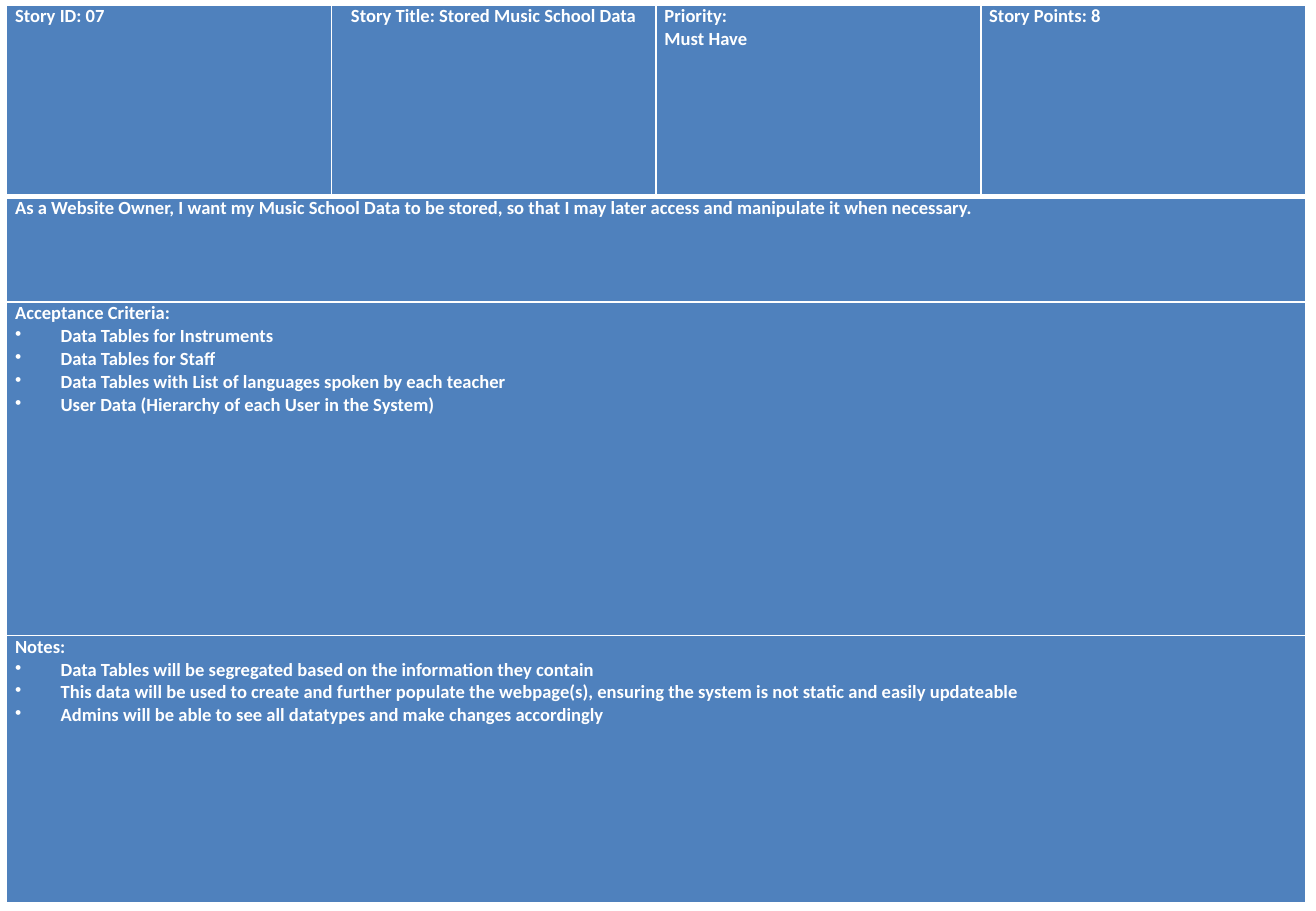
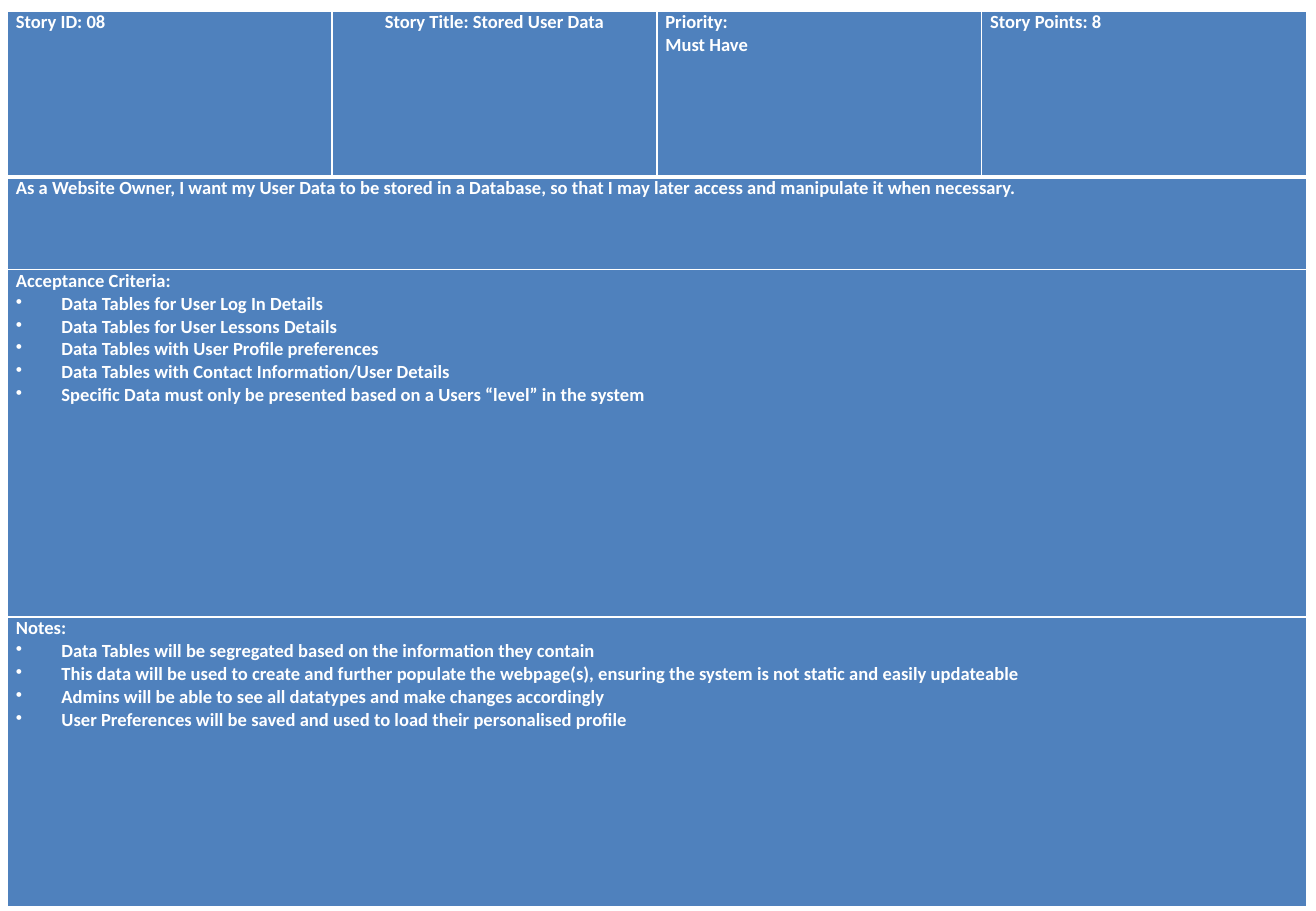
import pptx
import pptx.dml.color
import pptx.enum.text
import pptx.oxml
import pptx.oxml.ns
import pptx.util
from lxml import etree

Pt = pptx.util.Pt
CARD_BLUE = pptx.dml.color.RGBColor(0x4F, 0x81, 0xBD)
WHITE = pptx.dml.color.RGBColor(0xFF, 0xFF, 0xFF)
FONT, FONT_SIZE = "Calibri", 11
COLUMN_WIDTH = 192.5
SIDE_MARGIN = 5
BULLET_INDENT, BULLET_TAB = 27, 36
THIN, THICK = 1, 3

# Content: one story card per slide
SHARED_NOTES = [
    "Data Tables will be segregated based on the information they contain",
    "This data will be used to create and further populate the webpage(s), "
    "ensuring the system is not static and easily updateable",
    "Admins will be able to see all datatypes and make changes accordingly",
]
STORIES = [
    {
        "id": "07",
        "title": "Stored Music School Data",
        "priority": "Must Have",
        "points": 8,
        "story": "As a Website Owner, I want my Music School Data to be stored, "
                 "so that I may later access and manipulate it when necessary.",
        "criteria": [
            "Data Tables for Instruments",
            "Data Tables for Staff",
            "Data Tables with List of languages spoken by each teacher",
            "User Data (Hierarchy of each User in the System)",
        ],
        "notes": SHARED_NOTES,
        "corner": (3.9, 2.9),
        "row_heights": (113.7, 62.5, 197.5, 158.3),
    },
    {
        "id": "08",
        "title": "Stored User Data",
        "priority": "Must Have",
        "points": 8,
        "story": "As a Website Owner, I want my User Data to be stored in a Database, "
                 "so that I may later access and manipulate it when necessary.",
        "criteria": [
            "Data Tables for User Log In Details",
            "Data Tables for User Lessons Details",
            "Data Tables with User Profile preferences",
            "Data Tables with Contact Information/User Details",
            "Specific Data must only be presented based on a Users “level” in the system",
        ],
        "notes": SHARED_NOTES + [
            "User Preferences will be saved and used to load their personalised profile",
        ],
        "corner": (4.4, 6.4),
        "row_heights": (98.6, 54.7, 206, 171.5),
    },
]


def set_borders(cell, bottom_width):
    """Draw white lines on the four sides of a cell."""
    properties = cell._tc.get_or_add_tcPr()
    widths = {"lnL": THIN, "lnR": THIN, "lnT": THIN, "lnB": bottom_width}
    for position, (side, width) in enumerate(widths.items()):
        properties.insert(position, pptx.oxml.parse_xml(
            f'<a:{side} {pptx.oxml.ns.nsdecls("a")} w="{Pt(width)}">'
            f'<a:solidFill><a:srgbClr val="{WHITE}"/></a:solidFill></a:{side}>'))


def add_bullet(para):
    """Give a paragraph a hanging bullet with a tab stop."""
    properties = para._p.get_or_add_pPr()
    properties.set("marL", str(Pt(BULLET_INDENT)))
    properties.set("indent", str(-Pt(BULLET_INDENT)))
    qn = pptx.oxml.ns.qn
    etree.SubElement(properties, qn("a:buChar"), char="•")
    tabs = etree.SubElement(properties, qn("a:tabLst"))
    etree.SubElement(tabs, qn("a:tab"), pos=str(Pt(BULLET_TAB)), algn="l")


def fill_cell(cell, lines, bulleted):
    """Write the lines; in a bulleted cell the first line is a heading."""
    cell.text_frame.text = "\n".join(lines)
    for index, para in enumerate(cell.text_frame.paragraphs):
        if bulleted and index > 0:
            add_bullet(para)
        for span in para.runs:
            span.font.name = FONT
            span.font.size = Pt(FONT_SIZE)
            span.font.bold = True
            span.font.color.rgb = WHITE


def add_story_card(deck, story):
    page = deck.slides.add_slide(deck.slide_layouts[6])
    rows = [
        [[f"Story ID: {story['id']}"], [f"Story Title: {story['title']}"],
         ["Priority:", story["priority"]], [f"Story Points: {story['points']}"]],
        [[story["story"]]],
        [["Acceptance Criteria:"] + story["criteria"]],
        [["Notes:"] + story["notes"]],
    ]
    heights = story["row_heights"]
    column_count = len(rows[0])
    left, top = story["corner"]
    table = page.shapes.add_table(
        len(rows), column_count, Pt(left), Pt(top),
        Pt(COLUMN_WIDTH * column_count), Pt(sum(heights))).table
    table.first_row = False
    table.horz_banding = False
    for column in table.columns:
        column.width = Pt(COLUMN_WIDTH)

    # Header row has four cells, every later row is one wide cell
    for row_index, (contents, height) in enumerate(zip(rows, heights)):
        table.rows[row_index].height = Pt(height)
        if len(contents) == 1:
            table.cell(row_index, 0).merge(table.cell(row_index, column_count - 1))
        for column_index in range(column_count):
            cell = table.cell(row_index, column_index)
            cell.margin_left = cell.margin_right = Pt(SIDE_MARGIN)
            cell.margin_top = cell.margin_bottom = 0
            cell.fill.solid()
            cell.fill.fore_color.rgb = CARD_BLUE
            set_borders(cell, THICK if row_index == 0 else THIN)
            if column_index < len(contents):
                fill_cell(cell, contents[column_index], bulleted=row_index > 1)
    title_para = table.cell(0, 1).text_frame.paragraphs[0]
    title_para.alignment = pptx.enum.text.PP_ALIGN.CENTER


def main():
    deck = pptx.Presentation()
    deck.slide_width, deck.slide_height = Pt(780), Pt(540)
    for story in STORIES:
        add_story_card(deck, story)
    deck.save("out.pptx")


if __name__ == "__main__":
    main()
